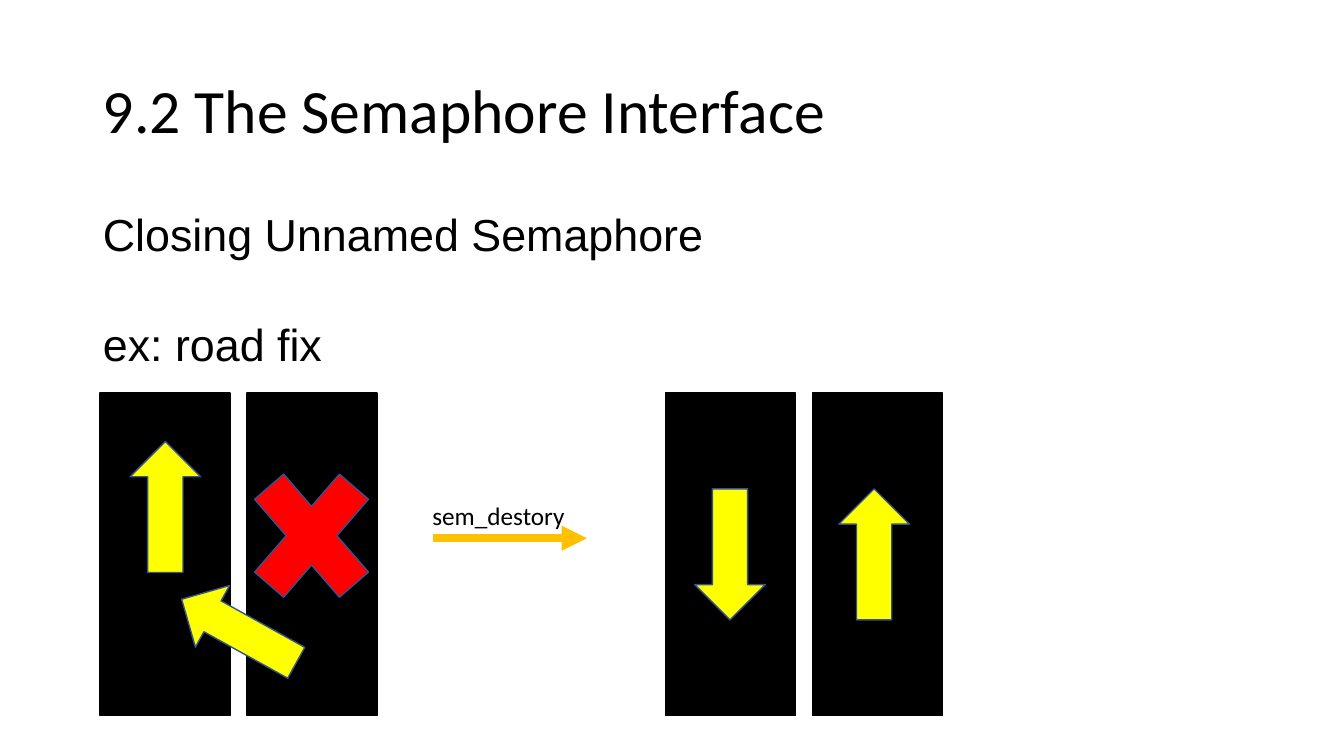
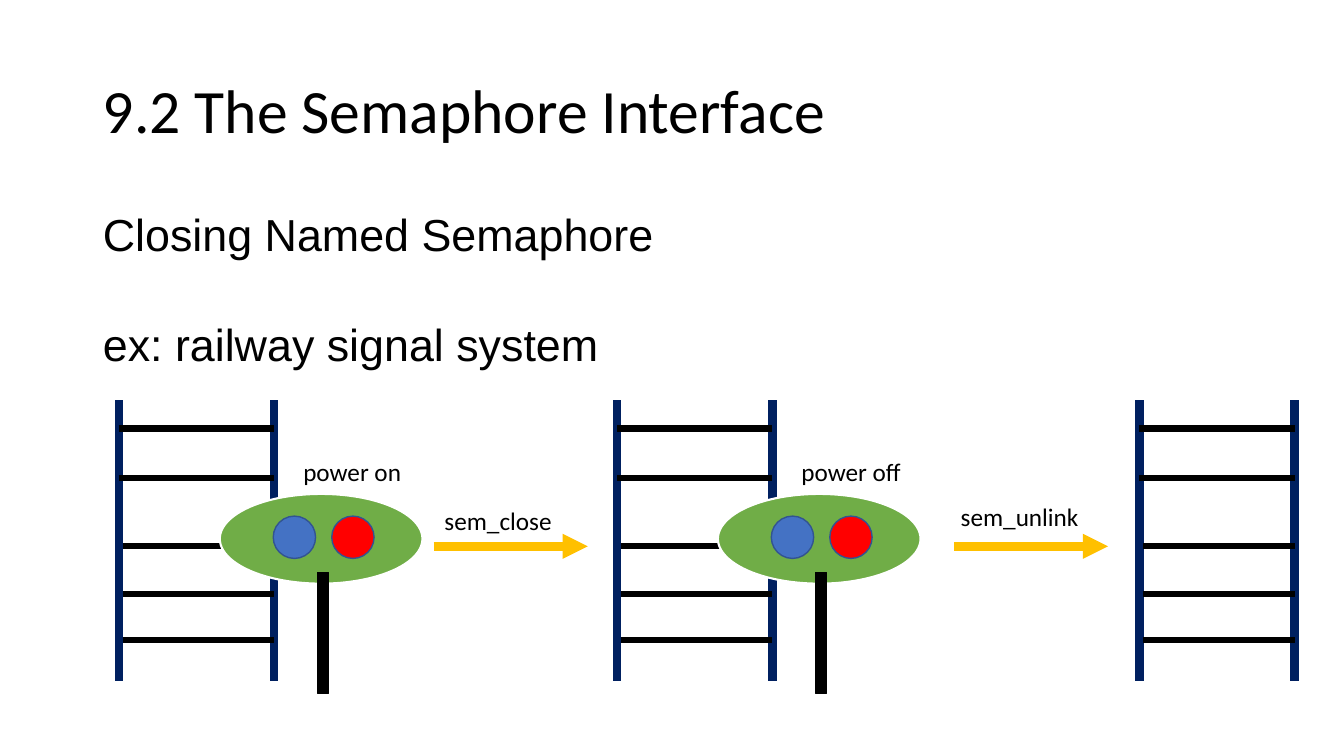
from lxml import etree
from pptx import Presentation
from pptx import util as u
from pptx.dml.color import RGBColor
from pptx.enum import shapes, text
from pptx.oxml.ns import qn

BLACK, WHITE, YELLOW, RED = "000000", "FFFFFF", "FFFF00", "FF0000"
AMBER, NAVY, GREEN, BLUE, OUTLINE = "FFC000", "002060", "70AD47", "4472C4", "325491"
SHAPE = shapes.MSO_SHAPE


def colour(code):
    return RGBColor.from_string(code)


class Deck:
    title_text = "9.2 The Semaphore Interface"

    def __init__(self):
        self.presentation = Presentation()
        self.presentation.slide_width = u.Inches(13.33)
        self.presentation.slide_height = u.Inches(7.5)
        self.slide = None

    def place(self, shape, left, top, width, height):
        shape.left, shape.top = u.Inches(left), u.Inches(top)
        shape.width, shape.height = u.Inches(width), u.Inches(height)

    def style(self, paragraph, size, font):
        paragraph.alignment = text.PP_ALIGN.LEFT
        for run in paragraph.runs:
            run.font.size = u.Pt(size)
            run.font.name = font
            run.font.color.rgb = colour(BLACK)

    def add_slide(self, topic, example):
        self.slide = self.presentation.slides.add_slide(self.presentation.slide_layouts[1])
        title, body = self.slide.placeholders
        self.place(title, 0.92, 0.4, 11.5, 1.45)
        title.text_frame.text = self.title_text
        title.text_frame.vertical_anchor = text.MSO_ANCHOR.MIDDLE
        title.text_frame.auto_size = text.MSO_AUTO_SIZE.NONE
        title.text_frame.paragraphs[0].line_spacing = 0.9
        self.style(title.text_frame.paragraphs[0], 44, "Calibri")

        self.place(body, 0.92, 2, 6.55, 4.76)
        body.text_frame.text = f"{topic}\n{example}"
        body.text_frame.auto_size = text.MSO_AUTO_SIZE.NONE
        for paragraph, gap in zip(body.text_frame.paragraphs, (3, 40)):
            paragraph.space_before = u.Pt(gap)
            properties = paragraph._p.get_or_add_pPr()
            properties.set("marL", "0")
            properties.set("indent", "0")
            etree.SubElement(properties, qn("a:buNone"))
            self.style(paragraph, 32, "Arial")

    def shape(self, kind, left, top, width, height, fill, line=OUTLINE, weight=1, rotation=0):
        shape = self.slide.shapes.add_shape(
            kind, u.Inches(left), u.Inches(top), u.Inches(width), u.Inches(height))
        shape.shadow.inherit = False
        shape.fill.solid()
        shape.fill.fore_color.rgb = colour(fill)
        shape.line.color.rgb = colour(line)
        shape.line.width = u.Pt(weight)
        shape.rotation = rotation

    def line(self, x1, y1, x2, y2, code, weight, arrow=False):
        connector = self.slide.shapes.add_connector(
            shapes.MSO_CONNECTOR.STRAIGHT,
            u.Inches(x1), u.Inches(y1), u.Inches(x2), u.Inches(y2))
        connector.line.color.rgb = colour(code)
        connector.line.width = u.Pt(weight)
        if arrow:
            etree.SubElement(connector.line._get_or_add_ln(), qn("a:tailEnd"), type="triangle")
        etree.SubElement(connector._element.spPr, qn("a:effectLst"))

    def label(self, words, left, top, width, wrap=False):
        box = self.slide.shapes.add_textbox(
            u.Inches(left), u.Inches(top), u.Inches(width), u.Inches(0.4))
        box.text_frame.text = words
        box.text_frame.word_wrap = wrap
        box.text_frame.auto_size = text.MSO_AUTO_SIZE.SHAPE_TO_FIT_TEXT
        self.style(box.text_frame.paragraphs[0], 18, "Calibri")

    def step_arrow(self, left, y):
        self.line(left, y, left + 1.53, y, AMBER, 6, arrow=True)

    def road(self, left):
        for lane in (left, left + 1.46):
            self.shape(SHAPE.RECTANGLE, lane, 3.9, 1.29, 3.2, BLACK, BLACK)

    def traffic(self, left, top, rotation):
        self.shape(SHAPE.RIGHT_ARROW, left, top, 1.3, 0.7, YELLOW, rotation=rotation)

    def track(self, left):
        right = left + 1.54
        for rail in (left, right):
            self.line(rail, 3.97, rail, 6.76, NAVY, 6)
        for y, inset in ((4.25, 0), (4.74, 0), (5.42, 0.04), (5.89, 0.04), (6.35, 0.04)):
            self.line(left + inset, y, right, y, BLACK, 4.5)

    def signal(self, left, state):
        self.shape(SHAPE.OVAL, left, 4.9, 2.01, 0.89, GREEN, WHITE, 1.5)
        for offset, lamp in ((0.53, BLUE), (1.11, RED)):
            self.shape(SHAPE.OVAL, left + offset, 5.12, 0.42, 0.42, lamp)
        self.shape(SHAPE.RECTANGLE, left + 0.97, 5.68, 0.11, 1.2, BLACK, BLACK)
        self.label(state, left + 0.73, 4.48, 1.6, wrap=True)


deck = Deck()

deck.add_slide("Closing Unnamed Semaphore", "ex: road fix")
deck.road(0.99)
deck.shape(SHAPE.MATH_MULTIPLY, 2.28, 4.38, 1.62, 1.87, RED)
deck.traffic(1.72, 5.91, 209)
deck.traffic(0.99, 4.68, 270)
deck.step_arrow(4.29, 5.34)
deck.label("sem_destory", 4.19, 4.91, 1.53)
deck.road(6.6)
deck.traffic(8.02, 5.15, 270)
deck.traffic(6.59, 5.15, 90)

deck.add_slide("Closing Named Semaphore", "ex: railway signal system")
for track_left in (1.18, 6.12, 11.3):
    deck.track(track_left)
for signal_left, state in ((2.18, "power on"), (7.12, "power off")):
    deck.signal(signal_left, state)
for arrow_left in (4.3, 9.46):
    deck.step_arrow(arrow_left, 5.42)
deck.label("sem_close", 4.31, 4.96, 1.28)
deck.label("sem_unlink", 9.43, 4.92, 1.38)

deck.presentation.save("out.pptx")
